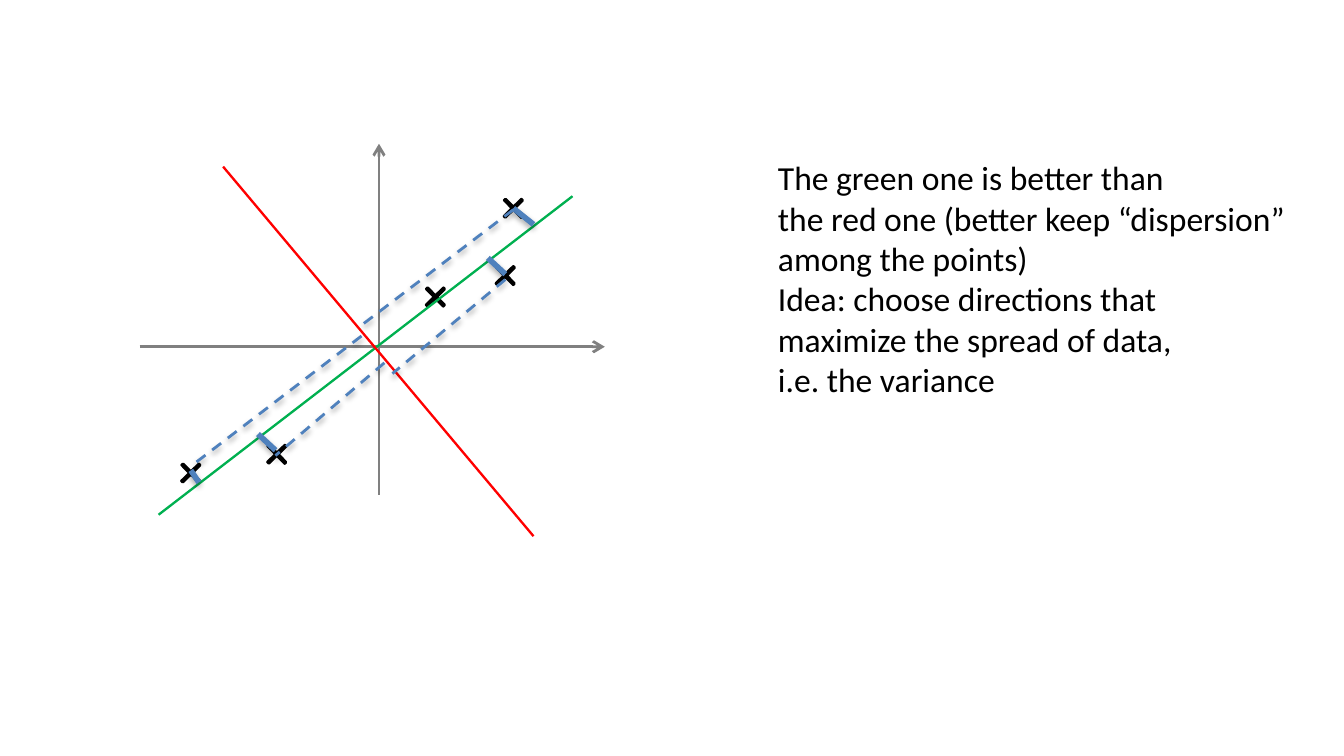
from pptx import Presentation
from pptx.dml.color import RGBColor
from pptx.enum.dml import MSO_LINE
from pptx.enum.shapes import MSO_CONNECTOR as CONN, MSO_SHAPE as SHAPE
from pptx.enum.text import MSO_AUTO_SIZE as AUTO
from pptx.oxml import parse_xml
from pptx.oxml.ns import nsdecls
from pptx.util import Inches, Pt

BLACK = RGBColor(0x00, 0x00, 0x00)
GRAY = RGBColor(0x80, 0x80, 0x80)
GREEN = RGBColor(0x00, 0xB0, 0x50)
RED = RGBColor(0xFF, 0x00, 0x00)
BLUE = RGBColor(0x4F, 0x81, 0xBD)

SHADOW = (
    f'<a:effectLst {nsdecls("a")}>'
    '<a:outerShdw blurRad="40000" dist="23000" dir="5400000" rotWithShape="0">'
    '<a:srgbClr val="000000"><a:alpha val="35000"/></a:srgbClr>'
    '</a:outerShdw></a:effectLst>'
)
NO_EFFECT = f'<a:effectLst {nsdecls("a")}/>'


class Deck:
    font = "Calibri"
    text_size = Pt(18)
    mark_size = 0.18

    def __init__(self, slide):
        self.shapes = slide.shapes

    def line(self, start, end, color, width, dashed=False, arrow=False, shadow=False):
        sp = self.shapes.add_connector(
            CONN.STRAIGHT, *(Inches(v) for v in (*start, *end)))
        sp.line.color.rgb = color
        sp.line.width = Pt(width)
        if dashed:
            sp.line.dash_style = MSO_LINE.DASH
        if arrow:
            sp.line._get_or_add_ln().append(
                parse_xml(f'<a:tailEnd {nsdecls("a")} type="arrow"/>'))
        sp._element.spPr.append(parse_xml(SHADOW if shadow else NO_EFFECT))

    def cross(self, left, top):
        size = Inches(self.mark_size)
        sp = self.shapes.add_shape(SHAPE.CROSS, Inches(left), Inches(top), size, size)
        sp.adjustments[0] = 0.466
        sp.rotation = 45.6
        sp.shadow.inherit = False
        sp.fill.solid()
        sp.fill.fore_color.rgb = BLACK
        sp.line.color.rgb = BLACK
        sp.line.width = Pt(1.5)

    def text(self, left, top, width, height, lines):
        box = self.shapes.add_textbox(*(Inches(v) for v in (left, top, width, height)))
        tf = box.text_frame
        tf.word_wrap = False
        tf.auto_size = AUTO.SHAPE_TO_FIT_TEXT
        tf.text = "\n".join(lines)
        for p in tf.paragraphs:
            for r in p.runs:
                r.font.name = self.font
                r.font.size = self.text_size
                r.font.color.rgb = BLACK


def main():
    # Widescreen 16:9 slide
    prs = Presentation()
    prs.slide_width = Inches(10)
    prs.slide_height = prs.slide_width * 9 // 16
    deck = Deck(prs.slides.add_slide(prs.slide_layouts[6]))

    # Axes
    deck.line((2.82, 3.68), (2.82, 1.07), GRAY, 1.5, arrow=True)
    deck.line((1.04, 2.58), (4.5, 2.58), GRAY, 1.5, arrow=True)

    # Data points
    for left, top in ((3.15, 2.12), (3.73, 1.46), (3.67, 1.96), (1.33, 3.43), (1.97, 3.29)):
        deck.cross(left, top)

    # Green direction and the offsets of the points from it
    deck.line((1.18, 3.83), (4.26, 1.46), GREEN, 1.25)
    for start, end in (
        ((3.82, 1.55), (3.97, 1.67)),
        ((3.63, 1.92), (3.76, 2.04)),
        ((1.92, 3.23), (2.05, 3.35)),
        ((1.42, 3.5), (1.48, 3.59)),
    ):
        deck.line(start, end, BLUE, 3, shadow=True)

    # Red direction and the offsets of the points from it
    deck.line((1.66, 1.24), (3.97, 3.99), RED, 1.25)
    for start, end in (
        ((3.76, 2.08), (2.92, 2.78)),
        ((3.82, 1.56), (2.69, 2.42)),
        ((2.86, 2.7), (2.05, 3.39)),
        ((2.69, 2.5), (1.42, 3.47)),
    ):
        deck.line(start, end, BLUE, 1.5, dashed=True, shadow=True)

    # Explanation
    deck.text(5.69, 1.12, 4, 1.92, (
        "The green one is better than",
        "the red one (better keep “dispersion”",
        "among the points)",
        "Idea: choose directions that",
        "maximize the spread of data,",
        "i.e. the variance",
    ))

    prs.save("out.pptx")


if __name__ == "__main__":
    main()
